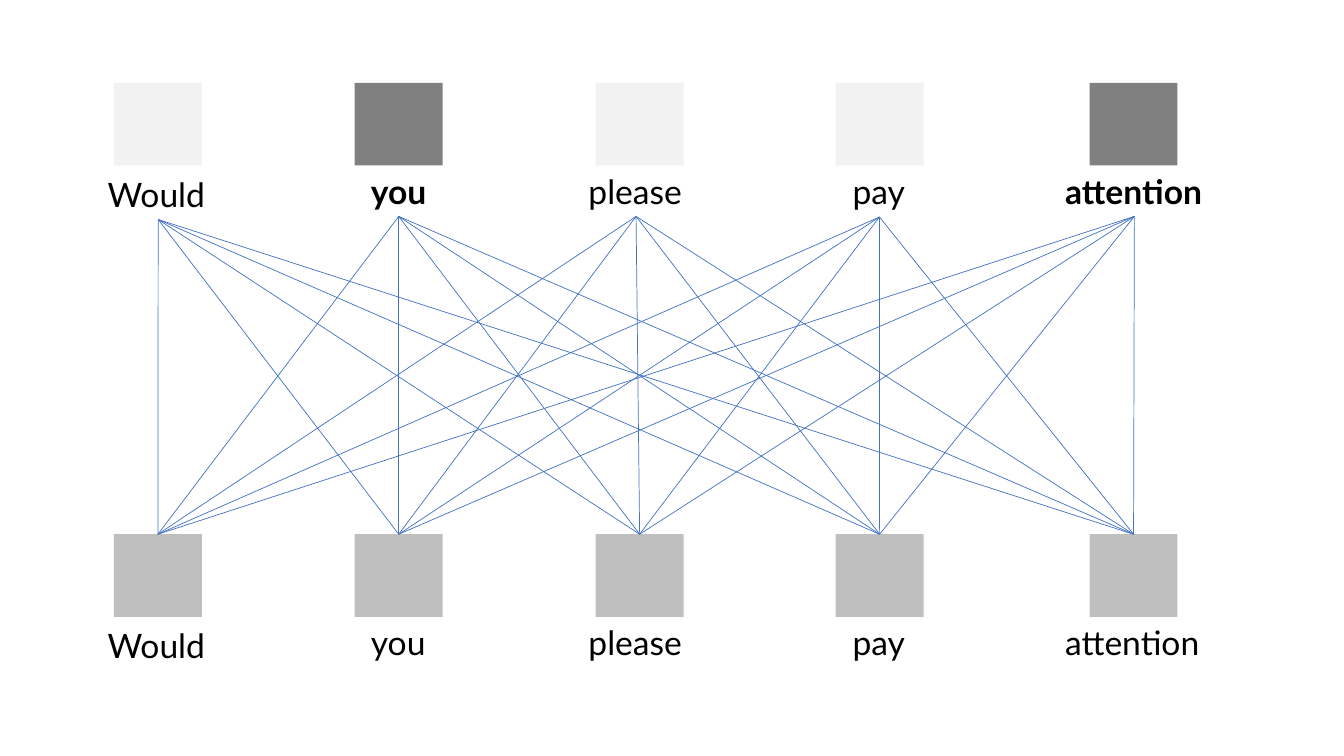
from lxml import etree
from pptx import Presentation
from pptx.dml.color import RGBColor
from pptx.enum import shapes, text
from pptx.oxml import ns
from pptx.util import Pt

PALE = RGBColor(0xF2, 0xF2, 0xF2)
DARK = RGBColor(0x80, 0x80, 0x80)
GRAY = RGBColor(0xBF, 0xBF, 0xBF)
BLUE = RGBColor(0x44, 0x72, 0xC4)
BLACK = RGBColor(0, 0, 0)

# word, box left, label left, label width, label drop, key word
WORDS = [
    ("Would", 81.4, 69.8, 86.4, 2.2, False),
    ("you", 253.4, 257.8, 54, 0, True),
    ("please", 425.5, 413.3, 82.1, 0, False),
    ("pay", 596.9, 601.9, 52.6, 0.4, False),
    ("attention", 778.3, 753.8, 113, 0, True),
]
TOP, BASE = 59.2, 381.6
BOX_W, BOX_H, LABEL_H = 62.8, 59, 36.4


def add_box(slide, left, top, color):
    box = slide.shapes.add_shape(
        shapes.MSO_SHAPE.RECTANGLE, Pt(left), Pt(top), Pt(BOX_W), Pt(BOX_H))
    box.shadow.inherit = False
    box.fill.solid()
    box.fill.fore_color.rgb = color
    box.line.fill.background()


def add_label(slide, word, left, top, width, bold):
    label = slide.shapes.add_textbox(Pt(left), Pt(top), Pt(width), Pt(LABEL_H))
    frame = label.text_frame
    frame.word_wrap = False
    frame.auto_size = text.MSO_AUTO_SIZE.SHAPE_TO_FIT_TEXT
    frame.text = word
    font = frame.paragraphs[0].runs[0].font
    font.name, font.size, font.bold = "Lato", Pt(24), bold
    font.color.rgb = BLACK


def add_link(slide, start, end):
    link = slide.shapes.add_connector(
        shapes.MSO_CONNECTOR.STRAIGHT, *map(Pt, start + end))
    link.line.color.rgb = BLUE
    link.line.width = Pt(0.5)
    etree.SubElement(link._element.spPr, ns.qn("a:effectLst"))


def main():
    deck = Presentation()
    deck.slide_width, deck.slide_height = Pt(960), Pt(540)
    slide = deck.slides.add_slide(deck.slide_layouts[6])

    for row, is_top in ((BASE, False), (TOP, True)):
        for word, left, label_x, width, drop, key in WORDS:
            color = GRAY if not is_top else DARK if key else PALE
            add_box(slide, left, row, color)
            add_label(slide, word, label_x, row + BOX_H + drop, width,
                      is_top and key)

    starts = [(left + BOX_W / 2, BASE) for _, left, *_ in WORDS]
    ends = [(label_x + width / 2, TOP + BOX_H + drop + LABEL_H)
            for _, _, label_x, width, drop, _ in WORDS]
    for start in starts:
        for end in ends:
            add_link(slide, start, end)

    deck.save("out.pptx")


if __name__ == "__main__":
    main()
